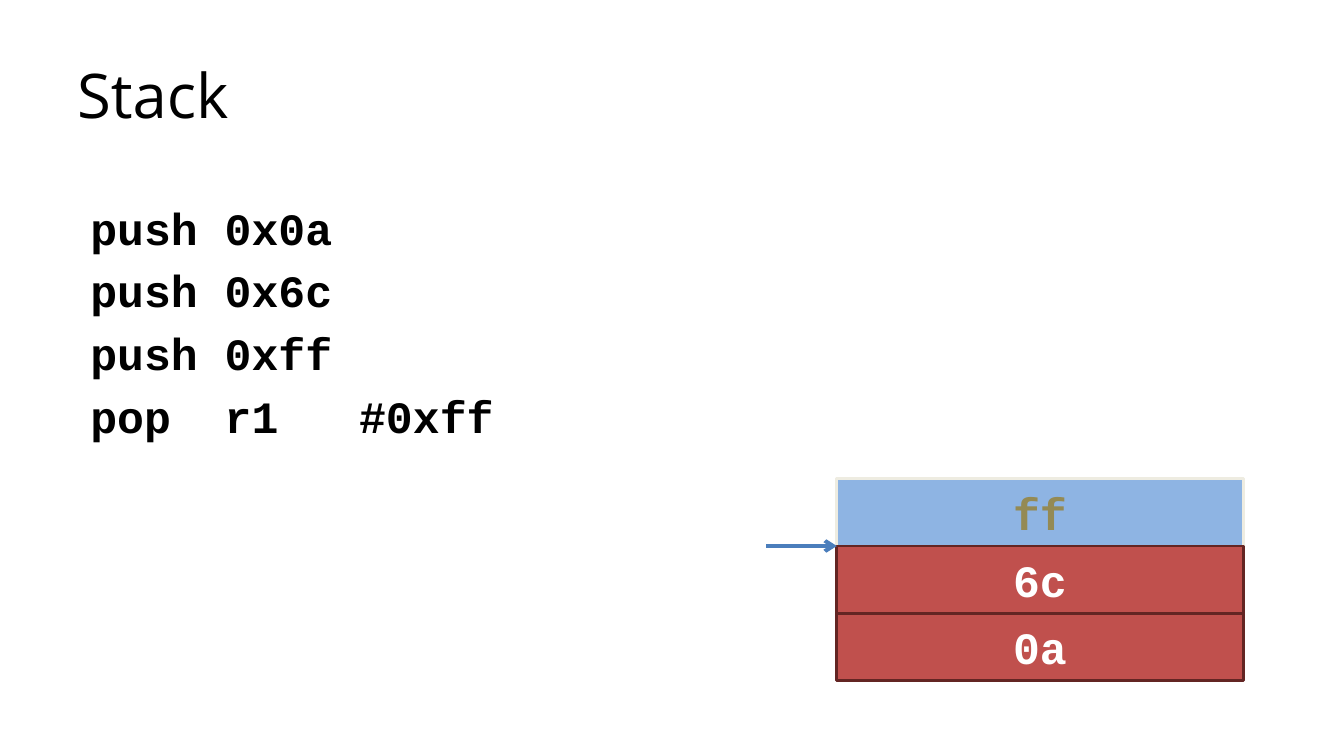
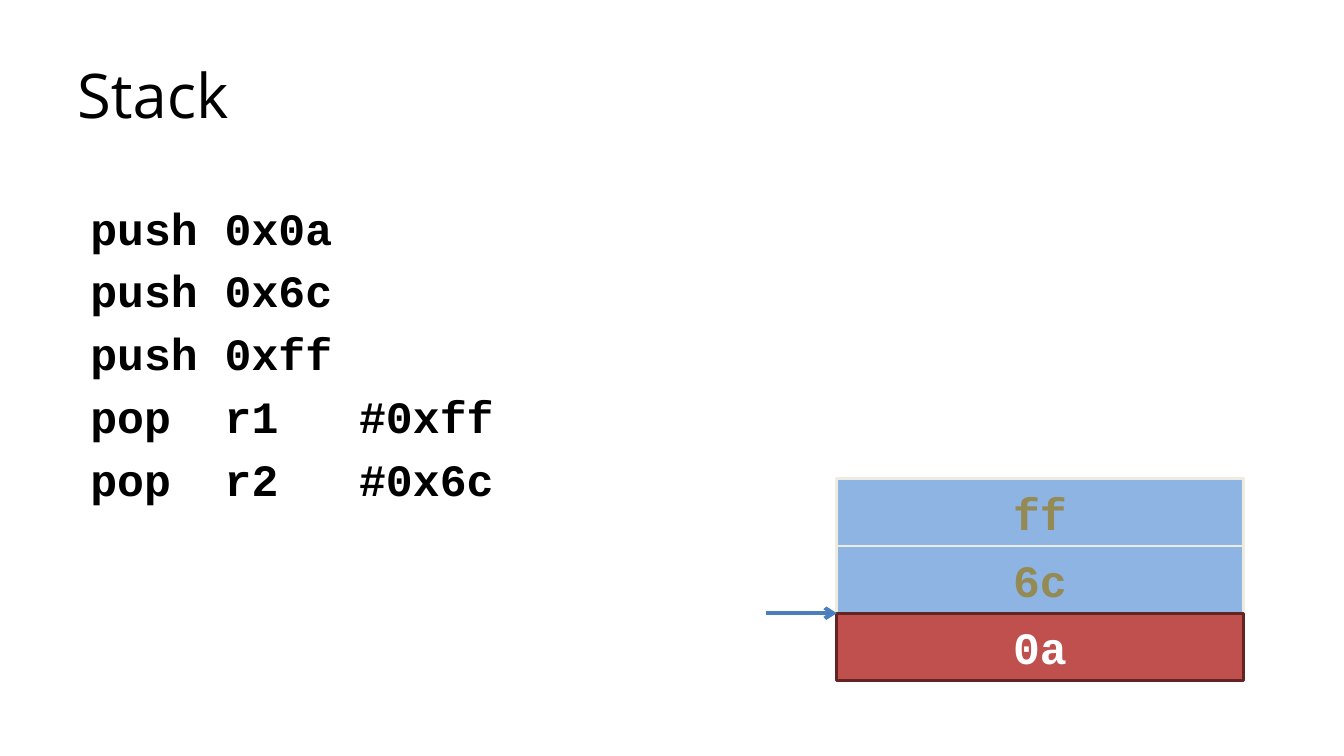
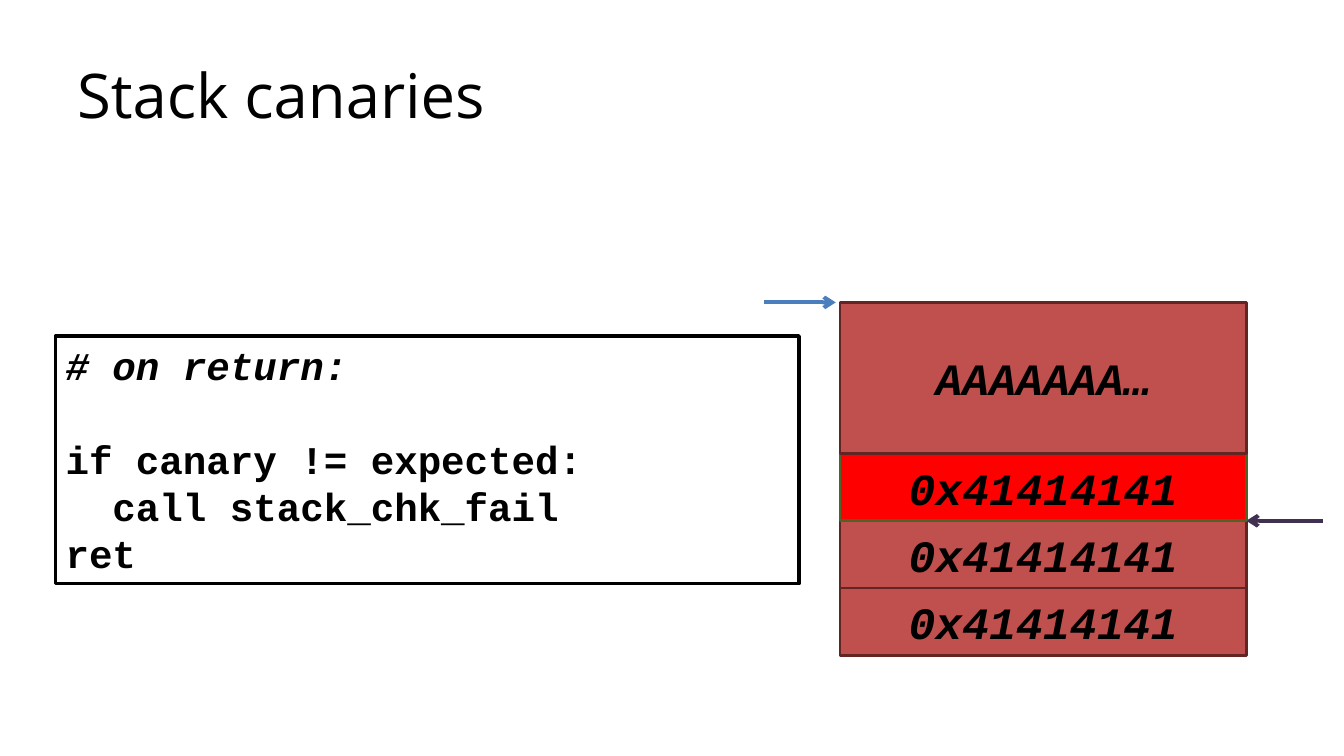
from lxml import etree
from pptx import Presentation
from pptx.dml.color import RGBColor
from pptx.enum.shapes import MSO_CONNECTOR, MSO_SHAPE
from pptx.enum.text import MSO_ANCHOR, PP_ALIGN
from pptx.oxml.ns import qn
from pptx.util import Pt

RECTANGLE = MSO_SHAPE.RECTANGLE
STRAIGHT = MSO_CONNECTOR.STRAIGHT
TOP, MIDDLE = MSO_ANCHOR.TOP, MSO_ANCHOR.MIDDLE
LEFT, CENTER = PP_ALIGN.LEFT, PP_ALIGN.CENTER

BLACK = RGBColor(0x00, 0x00, 0x00)
WHITE = RGBColor(0xFF, 0xFF, 0xFF)
RED = RGBColor(0xC0, 0x50, 0x4D)
DARK_RED = RGBColor(0x63, 0x25, 0x23)
BRIGHT_RED = RGBColor(0xFF, 0x00, 0x00)
GREEN = RGBColor(0x4F, 0x62, 0x28)
SKY = RGBColor(0x8E, 0xB4, 0xE3)
CREAM = RGBColor(0xEE, 0xEC, 0xE1)
OLIVE = RGBColor(0x94, 0x8A, 0x54)
BLUE = RGBColor(0x4B, 0x7E, 0xBC)
PURPLE = RGBColor(0x40, 0x31, 0x52)

CODE_FONT = "Courier New"
TITLE_FONT = "Open Sans"

SLIDE_WIDTH, SLIDE_HEIGHT = 1280, 720
TITLE_BOX = (64, 29, 1152, 120)
LISTING_BOX = (64, 186, 587, 486)
CHECK_BOX = (53, 320, 708, 236)
ROW_WIDTH, ROW_HEIGHT = 387, 64

LIVE = {"fill": RED, "line": DARK_RED, "color": WHITE}
POPPED = {"fill": SKY, "line": CREAM, "color": OLIVE}
OVERWRITTEN = {"fill": RED, "line": DARK_RED, "color": BLACK, "italic": True}
CANARY = {**OVERWRITTEN, "fill": BRIGHT_RED, "line": GREEN}

PUSHES = ["push 0x0a", "push 0x6c", "push 0xff"]
POPS = ["pop  r1   #0xff", "pop  r2   #0x6c"]


def px(length):
    """Turn a length in px into EMU."""
    return length * 9525


def write(para, text, size=32, font=CODE_FONT, color=BLACK, bold=True,
          italic=False, align=LEFT, before=0):
    """Put one formatted line of text into a paragraph."""
    para.alignment = align
    if before:
        para.space_before = Pt(before)
    span = para.add_run()
    span.text = text
    span.font.size = Pt(size)
    span.font.name = font
    span.font.color.rgb = color
    span.font.bold = bold
    span.font.italic = italic


def add_box(page, box, fill=None, line=None, weight=2, anchor=MIDDLE):
    """Add a plain rectangle and return its text frame."""
    shape = page.shapes.add_shape(RECTANGLE, *map(px, box))
    shape.shadow.inherit = False
    if fill is None:
        shape.fill.background()
    else:
        shape.fill.solid()
        shape.fill.fore_color.rgb = fill
    shape.line.color.rgb = line
    shape.line.width = Pt(weight)
    frame = shape.text_frame
    frame.word_wrap = True
    frame.vertical_anchor = anchor
    return frame


def add_arrow(page, start, end, y, color):
    """Draw a level arrow from start to end."""
    arrow = page.shapes.add_connector(STRAIGHT, px(start), px(y), px(end), px(y))
    arrow.line.color.rgb = color
    arrow.line.width = Pt(2.75)
    etree.SubElement(arrow.line._get_or_add_ln(), qn("a:tailEnd"), type="arrow")
    etree.SubElement(arrow._element.spPr, qn("a:effectLst"))


def add_page(deck, title):
    """Add a blank slide with the shared title."""
    page = deck.slides.add_slide(deck.slide_layouts[6])
    frame = add_box(page, TITLE_BOX, line=WHITE, weight=0.75)
    write(frame.paragraphs[0], title, size=44, font=TITLE_FONT, bold=False)
    return page


def add_listing(page, box, lines):
    """Add the assembly listing."""
    frame = page.shapes.add_textbox(*map(px, box)).text_frame
    frame.word_wrap = True
    frame.margin_left = px(22)
    for index, line in enumerate(lines):
        para = frame.add_paragraph() if index else frame.paragraphs[0]
        write(para, line, before=6.4 if index else 0)


def add_cell(page, box, text, fill, line, **text_format):
    """Add one labelled stack cell."""
    frame = add_box(page, box, fill, line)
    write(frame.paragraphs[0], text, align=CENTER, **text_format)


def add_stack(page, left, top, cells):
    """Stack (text, style, height) cells downwards, with popped cells at the back."""
    placed = []
    for text, style, height in cells:
        placed.append((text, style, (left, top, ROW_WIDTH, height)))
        top += height
    placed.reverse()
    placed.sort(key=lambda cell: cell[1] is not POPPED)
    for text, style, box in placed:
        add_cell(page, box, text, **style)


def add_check(page, box):
    """Add the framed canary check."""
    frame = add_box(page, box, WHITE, BLACK, weight=2.5, anchor=TOP)
    write(frame.paragraphs[0], "# on return:", size=28, italic=True)
    write(frame.add_paragraph(), "if canary != expected:", size=28, before=33.6)
    for line in ("  call stack_chk_fail", "ret"):
        write(frame.add_paragraph(), line, size=28)


def add_pop_slide(deck, pop_count):
    """Show the stack after a number of pops."""
    page = add_page(deck, "Stack")
    left, top = 797, 456
    add_listing(page, LISTING_BOX, PUSHES + POPS[:pop_count])
    add_stack(page, left, top, [
        (value, POPPED if index < pop_count else LIVE, ROW_HEIGHT)
        for index, value in enumerate(("ff", "6c", "0a"))])
    add_arrow(page, left - 67, left, top + pop_count * ROW_HEIGHT, BLUE)


def add_canary_slide(deck):
    """Show the overwritten canary and its check."""
    page = add_page(deck, "Stack canaries")
    left, top, buffer_height = 800, 288, 144
    right = left + ROW_WIDTH
    add_arrow(page, left - 72, left - 4, top, BLUE)
    add_arrow(page, right + 73, right, top + buffer_height + ROW_HEIGHT, PURPLE)
    address = "0x41414141"
    add_stack(page, left, top, [
        ("AAAAAAA…", OVERWRITTEN, buffer_height),
        (address, CANARY, ROW_HEIGHT),
        (address, OVERWRITTEN, ROW_HEIGHT),
        (address, OVERWRITTEN, ROW_HEIGHT)])
    add_check(page, CHECK_BOX)


def main():
    """Build and save the deck."""
    deck = Presentation()
    deck.slide_width, deck.slide_height = px(SLIDE_WIDTH), px(SLIDE_HEIGHT)
    for pop_count in (1, 2):
        add_pop_slide(deck, pop_count)
    add_canary_slide(deck)
    deck.save("out.pptx")


if __name__ == "__main__":
    main()
